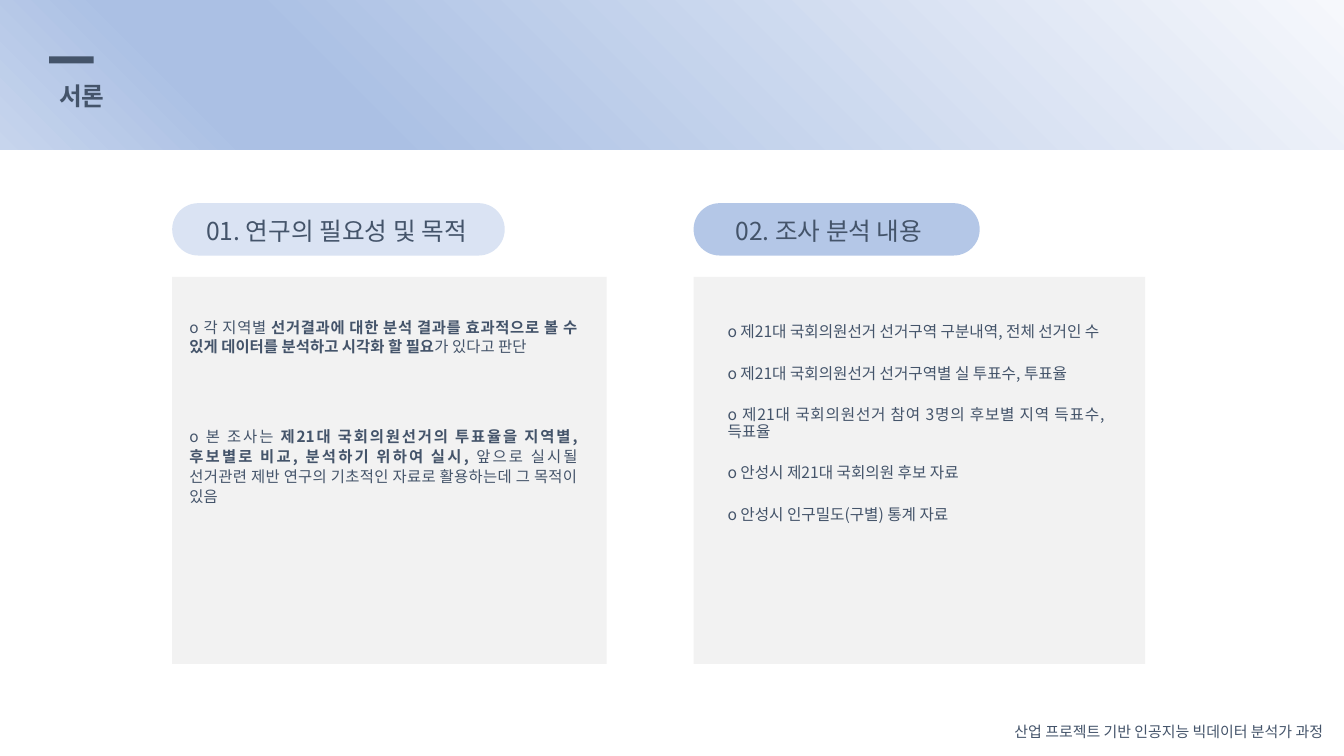
from copy import deepcopy

from lxml.etree import SubElement
from pptx import Presentation
from pptx.dml.color import RGBColor
from pptx.enum.shapes import MSO_SHAPE
from pptx.enum.text import MSO_ANCHOR, MSO_AUTO_SIZE, PP_ALIGN
from pptx.oxml.ns import qn
from pptx.util import Cm, Pt

COLORS = {
    "ink": "44546A",
    "panel": "F2F2F2",
    "pale pill": "DAE3F3",
    "blue pill": "B4C7E7",
}
BAND_STOPS = [(0, "F6F8FC"), (0.74, "ABC0E4"), (0.83, "ABC0E4"), (1, "C7D5ED")]
JP, KR = "Noto Sans CJK JP", "Noto Sans CJK KR"


class SlideBuilder:
    def __init__(self, page):
        self.page = page

    def shape(self, kind, place, color=None):
        shape = self.page.shapes.add_shape(kind, *map(Cm, place))
        shape.shadow.inherit = False
        shape.line.fill.background()
        if color:
            shape.fill.solid()
            shape.fill.fore_color.rgb = RGBColor.from_string(COLORS[color])
        return shape

    def band(self, place, stops, angle):
        fill = self.shape(MSO_SHAPE.RECTANGLE, place).fill
        fill.gradient()
        fill.gradient_angle = angle
        stop_list = self.page.shapes[-1].element.find(".//" + qn("a:gsLst"))
        while len(stop_list) < len(stops):
            stop_list.append(deepcopy(stop_list[0]))
        for stop, (position, color) in zip(fill.gradient_stops, stops):
            stop.position = position
            stop.color.rgb = RGBColor.from_string(color)

    def pill(self, place, color):
        self.shape(MSO_SHAPE.ROUNDED_RECTANGLE, place, color).adjustments[0] = 0.5

    def style(self, paragraph, size, font, align, spacing):
        paragraph.alignment = align
        paragraph.line_spacing = spacing
        paragraph.font.size = Pt(size)
        paragraph.font.name = font
        paragraph.font.color.rgb = RGBColor.from_string(COLORS["ink"])
        defaults = paragraph._p.pPr.find(qn("a:defRPr"))
        SubElement(defaults, qn("a:ea")).set("typeface", font)

    def label(self, place, text, size):
        frame = self.page.shapes.add_textbox(*map(Cm, place)).text_frame
        frame.word_wrap = True
        frame.vertical_anchor = MSO_ANCHOR.BOTTOM
        frame.text = text
        self.style(frame.paragraphs[0], size, JP, PP_ALIGN.CENTER, 0.9)

    def placeholder(self, index, place, anchor):
        box = self.page.placeholders[index]
        box.left, box.top, box.width, box.height = map(Cm, place)
        box.element.getparent().append(box.element)  # bring to front
        frame = box.text_frame
        frame.word_wrap = True
        frame.auto_size = MSO_AUTO_SIZE.NONE
        frame.vertical_anchor = anchor
        return frame

    def title(self, place, text):
        frame = self.placeholder(0, place, MSO_ANCHOR.BOTTOM)
        frame.text = text
        self.style(frame.paragraphs[0], 17.6, KR, PP_ALIGN.LEFT, 0.9)
        frame.paragraphs[0].font.bold = True

    def list(self, index, place, items, size, spacing, gap):
        """Each item is a list of spans; every second span is bold."""
        frame = self.placeholder(index, place, MSO_ANCHOR.TOP)
        for number, spans in enumerate(items):
            paragraph = frame.add_paragraph() if number else frame.paragraphs[0]
            properties = paragraph._p.get_or_add_pPr()
            properties.set("marL", "0")
            properties.set("indent", "0")
            SubElement(properties, qn("a:buNone"))
            paragraph.space_before = Pt(gap if number else 0)
            paragraph.space_after = Pt(8)
            self.style(paragraph, size, KR, PP_ALIGN.JUSTIFY, spacing)
            for order, text in enumerate(spans):
                span = paragraph.add_run()
                span.text = text
                if order % 2:
                    span.font.bold = True


deck = Presentation()
deck.slide_width, deck.slide_height = Cm(33.87), Cm(19.05)
slide = SlideBuilder(deck.slides.add_slide(deck.slide_layouts[3]))

# Header
slide.band((0, 0, 33.87, 3.78), BAND_STOPS, 225)
slide.shape(MSO_SHAPE.RECTANGLE, (1.24, 1.42, 1.12, 0.18), "ink")
slide.title((1.24, 0.71, 12.09, 2.21), "서론")

# Section panels and headings
SECTIONS = [
    (4.34, 10.95, 8.38, "pale pill", 4.6, "01. 연구의 필요성 및 목적 "),
    (17.48, 11.38, 7.21, "blue pill", 16.94, "02. 조사 분석 내용"),
]
for left, panel_width, pill_width, color, heading_left, heading in SECTIONS:
    slide.shape(MSO_SHAPE.RECTANGLE, (left, 6.98, panel_width, 9.75), "panel")
    slide.pill((left, 5.12, pill_width, 1.32), color)
    slide.label((heading_left, 5.26, 7.9, 1.07), heading, 17.6)

# Purpose of the study
PURPOSE = [
    ["о 각 지역별 ",
     "선거결과에 대한 분석 결과를 효과적으로 볼 수 있게 데이터를 분석하고 시각화 할 필요",
     "가 있다고 판단"],
    ["о 본 조사는 ",
     "제21대 국회의원선거의 투표율을 지역별, 후보별로 비교, 분석하기 위하여 실시, ",
     "앞으로 실시될 선거관련 제반 연구의 기초적인 자료로 활용하는데 그 목적이 있음"],
]
slide.list(1, (4.52, 7.85, 10.29, 8.03), PURPOSE, 11, 1.07, 42)

# Survey contents
CONTENTS = [
    ["о 제21대 국회의원선거 선거구역 구분내역, 전체 선거인 수"],
    ["о 제21대 국회의원선거 선거구역별 실 투표수, 투표율"],
    ["о 제21대 국회의원선거 참여 3명의 후보별 지역 득표수, 득표율"],
    ["о 안성시 제21대 국회의원 후보 자료"],
    ["о 안성시 인구밀도(구별) 통계 자료"],
]
slide.list(2, (18.08, 8.05, 10.01, 6.55), CONTENTS, 11.2, 0.87, 10)

# Footer
slide.label((25.06, 17.96, 8.8, 0.84), "산업 프로젝트 기반 인공지능 빅데이터 분석가 과정", 10.7)

deck.save("out.pptx")
